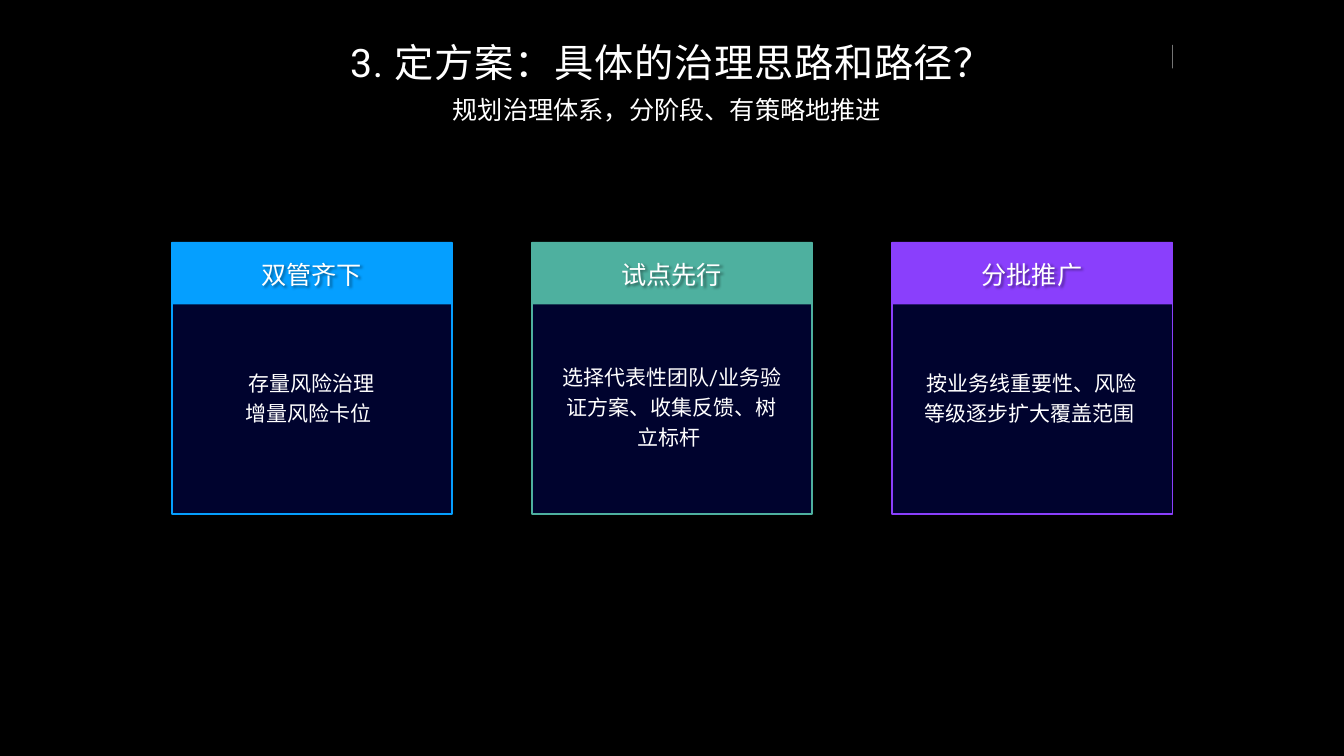
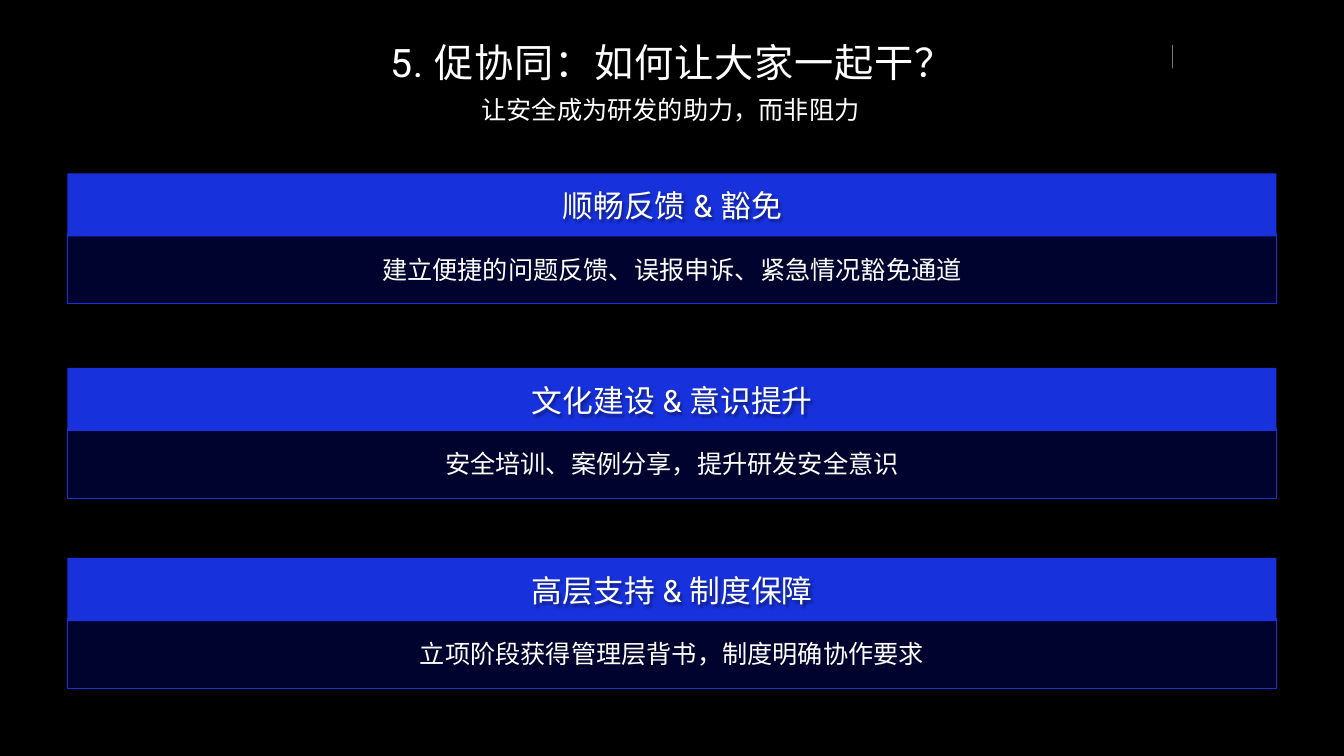
from dataclasses import dataclass

import pptx
import pptx.dml.color
import pptx.enum.shapes
import pptx.enum.text
import pptx.oxml
import pptx.oxml.ns
import pptx.presentation
import pptx.shapes.autoshape
import pptx.slide
import pptx.util
from lxml import etree

Cm = pptx.util.Cm
Pt = pptx.util.Pt
RGBColor = pptx.dml.color.RGBColor
MSO_SHAPE = pptx.enum.shapes.MSO_SHAPE
PP_ALIGN = pptx.enum.text.PP_ALIGN
MSO_ANCHOR = pptx.enum.text.MSO_ANCHOR
qn = pptx.oxml.ns.qn

BLACK = RGBColor(0x00, 0x00, 0x00)
WHITE = RGBColor(0xFF, 0xFF, 0xFF)
NAVY = RGBColor(0x01, 0x06, 0x4D)
SKY = RGBColor(0x05, 0x9F, 0xFF)
TEAL = RGBColor(0x4E, 0xB0, 0x9F)
VIOLET = RGBColor(0x8A, 0x3F, 0xFC)
ROYAL = RGBColor(0x17, 0x32, 0xDC)

MAIN_FONT = "Roboto"
SLIDE_WIDTH, SLIDE_HEIGHT = 67.73, 38.1
THIN_INSET = 0.05


@dataclass(frozen=True)
class Box:
    """A rectangle in centimetres."""
    left: float
    top: float
    width: float
    height: float


@dataclass(frozen=True)
class TextStyle:
    size: float
    font: str = MAIN_FONT
    align: PP_ALIGN = PP_ALIGN.CENTER
    anchor: MSO_ANCHOR = MSO_ANCHOR.MIDDLE
    inset: float | None = THIN_INSET
    line_spacing: float | None = None
    letter_spacing: float = 0


@dataclass(frozen=True)
class Heading:
    title: str
    title_width: float
    subtitle: str
    subtitle_width: float
    subtitle_font: str = MAIN_FONT


@dataclass(frozen=True)
class Card:
    label: str
    lines: tuple[str, ...]
    color: RGBColor
    text_top: float = 17.07


@dataclass(frozen=True)
class Band:
    label: str
    text: str
    top: float


TITLE = TextStyle(56, inset=0.08, letter_spacing=1.1)
CARD_LABEL = TextStyle(36)
CARD_TEXT = TextStyle(30, line_spacing=1.2)
BAND_LABEL = TextStyle(44)
BAND_TEXT = TextStyle(36)

PLAN_HEADING = Heading("3. 定方案：具体的治理思路和路径？", 40.61,
                       "规划治理体系，分阶段、有策略地推进", 22.61)
CARDS = (
    Card("双管齐下", ("存量风险治理", "增量风险卡位 "), SKY),
    Card("试点先行", ("选择代表性团队/业务验证方案、收集反馈、树立标杆 ",), TEAL, 17.5),
    Card("分批推广", ("按业务线重要性、风险等级逐步扩大覆盖范围 ",), VIOLET),
)

TEAM_HEADING = Heading("5. 促协同：如何让大家一起干？", 42.34,
                       "让安全成为研发的助力，而非阻力", 19.69, "Cabin")
BANDS = (
    Band("顺畅反馈 & 豁免", "建立便捷的问题反馈、误报申诉、紧急情况豁免通道", 8.74),
    Band("文化建设 & 意识提升", "安全培训、案例分享，提升研发安全意识", 18.54),
    Band("高层支持 & 制度保障", "立项阶段获得管理层背书，制度明确协作要求", 28.12),
)


# Basic parts
def place(box: Box) -> tuple[int, int, int, int]:
    return Cm(box.left), Cm(box.top), Cm(box.width), Cm(box.height)


def set_opacity(color_parent: etree.ElementBase, percent: int) -> None:
    color = color_parent.find(".//" + qn("a:srgbClr"))
    etree.SubElement(color, qn("a:alpha")).set("val", str(percent * 1000))


def write_text(shape: pptx.shapes.autoshape.Shape, text: str, style: TextStyle) -> None:
    frame = shape.text_frame
    frame.text = text
    frame.word_wrap = True
    frame.vertical_anchor = style.anchor
    if style.inset is not None:
        frame.margin_left = frame.margin_right = Cm(style.inset)
        frame.margin_top = frame.margin_bottom = Cm(style.inset)
    for paragraph in frame.paragraphs:
        paragraph.alignment = style.align
        paragraph.line_spacing = style.line_spacing
        for run in paragraph.runs:
            run.font.size = Pt(style.size)
            run.font.name = style.font
            run.font.color.rgb = WHITE
            properties = run.font._element
            etree.SubElement(properties, qn("a:ea")).set("typeface", style.font)
            if style.letter_spacing:
                properties.set("spc", str(round(style.letter_spacing * 100)))


def add_text(slide: pptx.slide.Slide, box: Box, text: str,
             style: TextStyle) -> pptx.shapes.autoshape.Shape:
    shape = slide.shapes.add_textbox(*place(box))
    write_text(shape, text, style)
    return shape


def add_label(slide: pptx.slide.Slide, box: Box, text: str, style: TextStyle) -> None:
    """Text with a soft shadow."""
    shape = add_text(slide, box, text, style)
    shape._element.spPr.append(pptx.oxml.parse_xml(
        '<a:effectLst xmlns:a="http://schemas.openxmlformats.org/drawingml/2006/main">'
        '<a:outerShdw blurRad="50800" dist="38100" dir="2700000" algn="tl" rotWithShape="0">'
        '<a:srgbClr val="000000"><a:alpha val="40000"/></a:srgbClr>'
        '</a:outerShdw></a:effectLst>'))


def add_header(slide: pptx.slide.Slide, box: Box, color: RGBColor) -> None:
    shape = slide.shapes.add_shape(MSO_SHAPE.RECTANGLE, *place(box))
    shape.shadow.inherit = False
    shape.fill.solid()
    shape.fill.fore_color.rgb = color
    shape.line.fill.background()


def add_panel(slide: pptx.slide.Slide, kind: MSO_SHAPE, box: Box,
              color: RGBColor) -> pptx.shapes.autoshape.Shape:
    """Translucent navy panel with a coloured outline."""
    shape = slide.shapes.add_shape(kind, *place(box))
    shape.shadow.inherit = False
    shape.fill.solid()
    shape.fill.fore_color.rgb = NAVY
    set_opacity(shape._element.spPr.find(qn("a:solidFill")), 60)
    shape.line.color.rgb = color
    shape.line.width = Pt(2)
    return shape


# Shared slide frame: background, corner rule, title and subtitle
def add_slide(presentation: pptx.presentation.Presentation,
              heading: Heading) -> pptx.slide.Slide:
    slide = presentation.slides.add_slide(presentation.slide_layouts[6])
    slide.background.fill.solid()
    slide.background.fill.fore_color.rgb = BLACK

    rule = slide.shapes.add_connector(pptx.enum.shapes.MSO_CONNECTOR.STRAIGHT,
                                      Cm(59.08), Cm(3.45), Cm(59.08), Cm(2.26))
    rule.line.color.rgb = WHITE
    rule.line.width = Pt(1)
    set_opacity(rule.line._ln, 70)
    etree.SubElement(rule._element.spPr, qn("a:effectLst"))

    def centred(top: float, width: float, height: float) -> Box:
        return Box((SLIDE_WIDTH - width) / 2, top, width, height)

    add_text(slide, centred(1.83, heading.title_width, 2.57), heading.title, TITLE)
    subtitle_style = TextStyle(36, heading.subtitle_font, PP_ALIGN.LEFT,
                               MSO_ANCHOR.TOP, inset=None)
    add_text(slide, centred(4.65, heading.subtitle_width, 1.8),
             heading.subtitle, subtitle_style)
    return slide


def add_card(slide: pptx.slide.Slide, left: float, card: Card) -> None:
    width = 14.12
    add_panel(slide, MSO_SHAPE.RECTANGLE, Box(left, 12.22, width, 13.69), card.color)
    add_header(slide, Box(left, 12.19, width, 3.15), card.color)
    add_label(slide, Box(left + 1.75, 12.75, 10.59, 2.13), card.label, CARD_LABEL)
    add_text(slide, Box(left + 1.4, card.text_top, 11.28, 5.77),
             "\n".join(card.lines), CARD_TEXT)


def add_band(slide: pptx.slide.Slide, band: Band) -> None:
    left, width = 3.4, 60.93
    panel = add_panel(slide, MSO_SHAPE.ROUNDED_RECTANGLE,
                      Box(left, band.top + 3.06, width, 3.51), ROYAL)
    panel.adjustments[0] = 0
    write_text(panel, band.text, BAND_TEXT)
    add_header(slide, Box(left, band.top, width, 3.18), ROYAL)
    add_label(slide, Box(26.04, band.top + 0.38, 15.67, 2.49), band.label, BAND_LABEL)


def main() -> None:
    presentation = pptx.Presentation()
    presentation.slide_width = Cm(SLIDE_WIDTH)
    presentation.slide_height = Cm(SLIDE_HEIGHT)

    # Three-step plan
    plan_slide = add_slide(presentation, PLAN_HEADING)
    for index, card in enumerate(CARDS):
        add_card(plan_slide, 8.66 + index * 18.15, card)

    # Working together
    team_slide = add_slide(presentation, TEAM_HEADING)
    for band in BANDS:
        add_band(team_slide, band)

    presentation.save("out.pptx")


if __name__ == "__main__":
    main()
